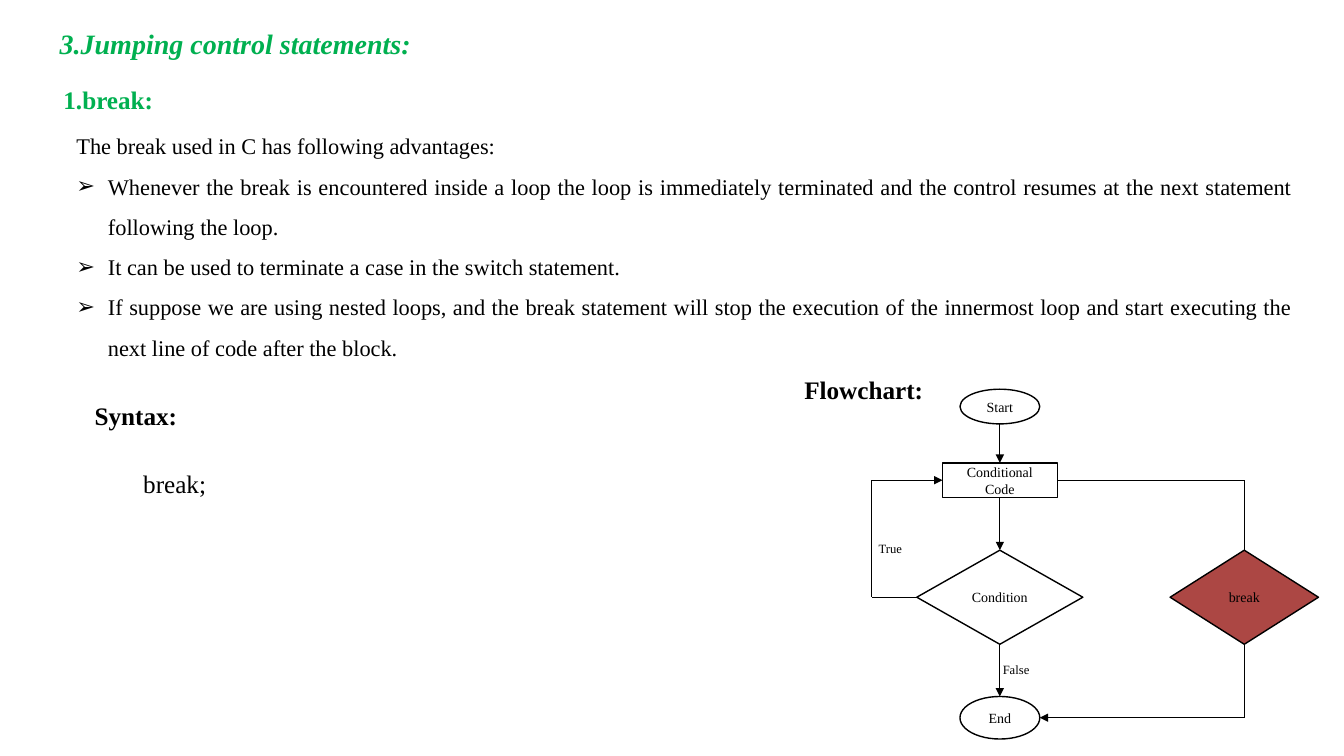
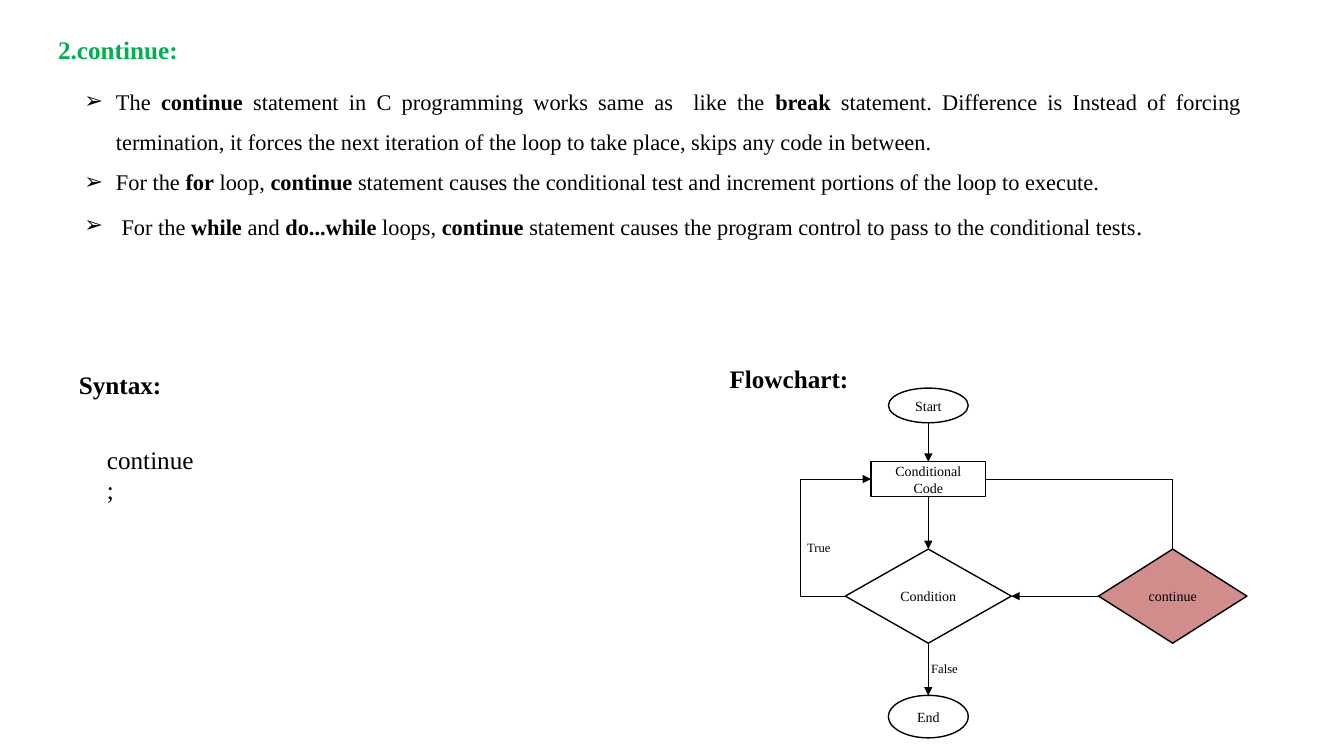
"""Builds two slides on the break and continue statements of C."""
import dataclasses

import lxml.etree
import pptx
import pptx.dml.color
import pptx.enum.shapes
import pptx.enum.text
import pptx.oxml.ns
import pptx.util

Pt = pptx.util.Pt
RGB = pptx.dml.color.RGBColor.from_string
KIND = pptx.enum.shapes.MSO_SHAPE
ALIGN = pptx.enum.text.PP_ALIGN
ANCHOR = pptx.enum.text.MSO_ANCHOR
qn = pptx.oxml.ns.qn


@dataclasses.dataclass(frozen=True)
class Theme:
    font: str = "Times New Roman"
    ink: str = "000000"
    paper: str = "FFFFFF"
    green: str = "00B050"
    title: int = 20
    head: int = 18
    body: int = 16
    node: int = 10
    label: int = 9
    edge: float = 1
    wire: float = 0.5
    indent: float = 22.5


theme = Theme()


def write(shape, *lines, size=theme.head, color=theme.ink, bold=False, italic=False,
          align=ALIGN.LEFT, anchor=ANCHOR.TOP, wrap=False, spacing=None, first=None):
    """Fills a shape; asterisks switch bold, and lines from number first on get bullets."""
    frame = shape.text_frame
    frame.word_wrap = wrap
    frame.vertical_anchor = anchor
    for row, line in enumerate(lines):
        para = frame.add_paragraph() if row else frame.paragraphs[0]
        para.alignment = align
        if spacing:
            para.line_spacing = spacing
        if first is not None and row >= first:
            props = para._p.get_or_add_pPr()
            props.set("marL", str(Pt(theme.indent)))
            props.set("indent", str(-Pt(theme.indent)))
            lxml.etree.SubElement(props, qn("a:buFont"), typeface="Arial")
            lxml.etree.SubElement(props, qn("a:buChar"), char="➢")
        for part, text in enumerate(line.split("*")):
            if text:
                run = para.add_run()
                run.text = text
                run.font.name = theme.font
                run.font.size = Pt(size)
                run.font.bold = bold or part % 2 == 1
                run.font.italic = italic
                run.font.color.rgb = RGB(color)
    return run


def link(slide, start, end, arrow=False):
    """Draws a line between two ends, each a point or a shape with its side."""
    line = slide.shapes.add_connector(pptx.enum.shapes.MSO_CONNECTOR.STRAIGHT, 0, 0, 0, 0)
    if isinstance(start[0], (int, float)):
        line.begin_x, line.begin_y = map(Pt, start)
    else:
        line.begin_connect(*start)
    if isinstance(end[0], (int, float)):
        line.end_x, line.end_y = map(Pt, end)
    else:
        line.end_connect(*end)
    line.line.color.rgb = RGB(theme.ink)
    line.line.width = Pt(theme.wire)
    if arrow:
        lxml.etree.SubElement(line.line._get_or_add_ln(), qn("a:tailEnd"), type="triangle")
    lxml.etree.SubElement(line._element.spPr, qn("a:effectLst"))


pages = [
    {
        "word": "break", "fill": "AC4744", "axis": 714.2, "top": 278,
        "heads": [("1.break:", (38.2, 56.9, 86, 29), theme.green, True),
                  ("Flowchart:", (567.4, 263.5, 110, 29), theme.ink, True),
                  ("Syntax:", (60.5, 282.5, 97, 29), theme.ink, True),
                  ("break;", (95.2, 330.8, 62, 29), theme.ink, False)],
        "box": (47.5, 81.4, 882.7, 181.4), "first": 1,
        "body": [
            "The break used in C has following advantages:",
            "Whenever the break is encountered inside a loop the loop is immediately terminated "
            "and the control resumes at the next statement following the loop.",
            "It can be used to terminate a case in the switch statement.",
            "If suppose we are using nested loops, and the break statement will stop the execution "
            "of the innermost loop and start executing the next line of code after the block.",
        ],
    },
    {
        "word": "continue", "fill": "D18D8B", "axis": 663.1, "top": 277.2,
        "heads": [("2.continue:", (34.4, 20.9, 107, 29), theme.green, True),
                  ("Flowchart:", (514, 255.8, 110, 29), theme.ink, True),
                  ("Syntax:", (49.2, 260, 97, 29), theme.ink, True),
                  ("continue;", (69.3, 313.5, 81, 29), theme.ink, False)],
        "box": (53.3, 49.5, 840.2, 127.4), "first": 0,
        "body": [
            "The *continue* statement in C programming works same as  like the *break* statement. "
            "Difference is Instead of forcing termination, it forces the next iteration of the loop "
            "to take place, skips any code in between.",
            "For the *for* loop, *continue* statement causes the conditional test and increment "
            "portions of the loop to execute.",
            " For the *while* and *do...while* loops, *continue* statement causes the program "
            "control to pass to the conditional tests",
        ],
    },
]

deck = pptx.Presentation()
deck.slide_width, deck.slide_height = Pt(960), Pt(540)

for page in pages:
    slide = deck.slides.add_slide(deck.slide_layouts[6])
    axis, top, word = page["axis"], page["top"], page["word"]

    for text, box, color, bold in page["heads"]:
        write(slide.shapes.add_textbox(*map(Pt, box)), text, color=color, bold=bold)
    last = write(slide.shapes.add_textbox(*map(Pt, page["box"])), *page["body"],
                 size=theme.body, align=ALIGN.JUSTIFY, wrap=True, spacing=1.5,
                 first=page["first"])

    nodes = {}
    for name, kind, shift, down, wide, high, fill in [
        ("Start", KIND.OVAL, 0, 0, 57, 24.8, theme.paper),
        ("Conditional Code", KIND.RECTANGLE, 0, 52.6, 82, 24.8, theme.paper),
        ("Condition", KIND.DIAMOND, 0, 115, 118.6, 67.2, theme.paper),
        ("End", KIND.OVAL, 0, 219.5, 57, 30.4, theme.paper),
        (word, KIND.DIAMOND, 174.6, 115, 106, 67.2, page["fill"]),
    ]:
        node = slide.shapes.add_shape(
            kind, *map(Pt, (axis + shift - wide / 2, top + down, wide, high)))
        node.shadow.inherit = False
        node.fill.solid()
        node.fill.fore_color.rgb = RGB(fill)
        node.line.color.rgb = RGB(theme.ink)
        node.line.width = Pt(theme.edge)
        write(node, name, size=theme.node, align=ALIGN.CENTER, anchor=ANCHOR.MIDDLE, wrap=True)
        nodes[name] = node

    for text, shift, down in [("True", -93.6, 105), ("False", -5, 191.5)]:
        box = slide.shapes.add_textbox(*map(Pt, (axis + shift, top + down, 41, 18)))
        write(box, text, size=theme.label)

    code, test, jump, end = (nodes[name] for name in ("Conditional Code", "Condition", word, "End"))
    loop, side = axis - 91.6, axis + 174.6
    level, waist, floor = top + 65, top + 148.6, top + 234.7
    wires = [
        ((axis, top + 24.8), (code, 0), True),
        ((code, 2), (test, 0), True),
        ((test, 2), (end, 0), True),
        ((test, 1), (loop, waist), False),
        ((loop, waist), (loop, level), False),
        ((loop, level), (code, 1), True),
        ((code, 3), (side, level), False),
        ((side, level), (jump, 0), False),
    ]
    if word == "break":
        wires += [((jump, 2), (side, floor), False),
                  ((side, floor), (axis + 28.5, floor), True)]
        title = slide.shapes.add_textbox(*map(Pt, (22.3, 10.1, 291.6, 41.8)))
        write(title, "3.Jumping control statements:", size=theme.title, color=theme.green,
              bold=True, italic=True, align=ALIGN.CENTER, anchor=ANCHOR.MIDDLE)
    else:
        wires.append(((jump, 1), (test, 3), True))
        stop = slide.shapes[4].text_frame.paragraphs[-1].add_run()
        stop.text = "."
        stop.font.name = last.font.name
        stop.font.size = Pt(theme.head)
        stop.font.color.rgb = RGB(theme.ink)
    for wire in wires:
        link(slide, *wire)

deck.save("out.pptx")
